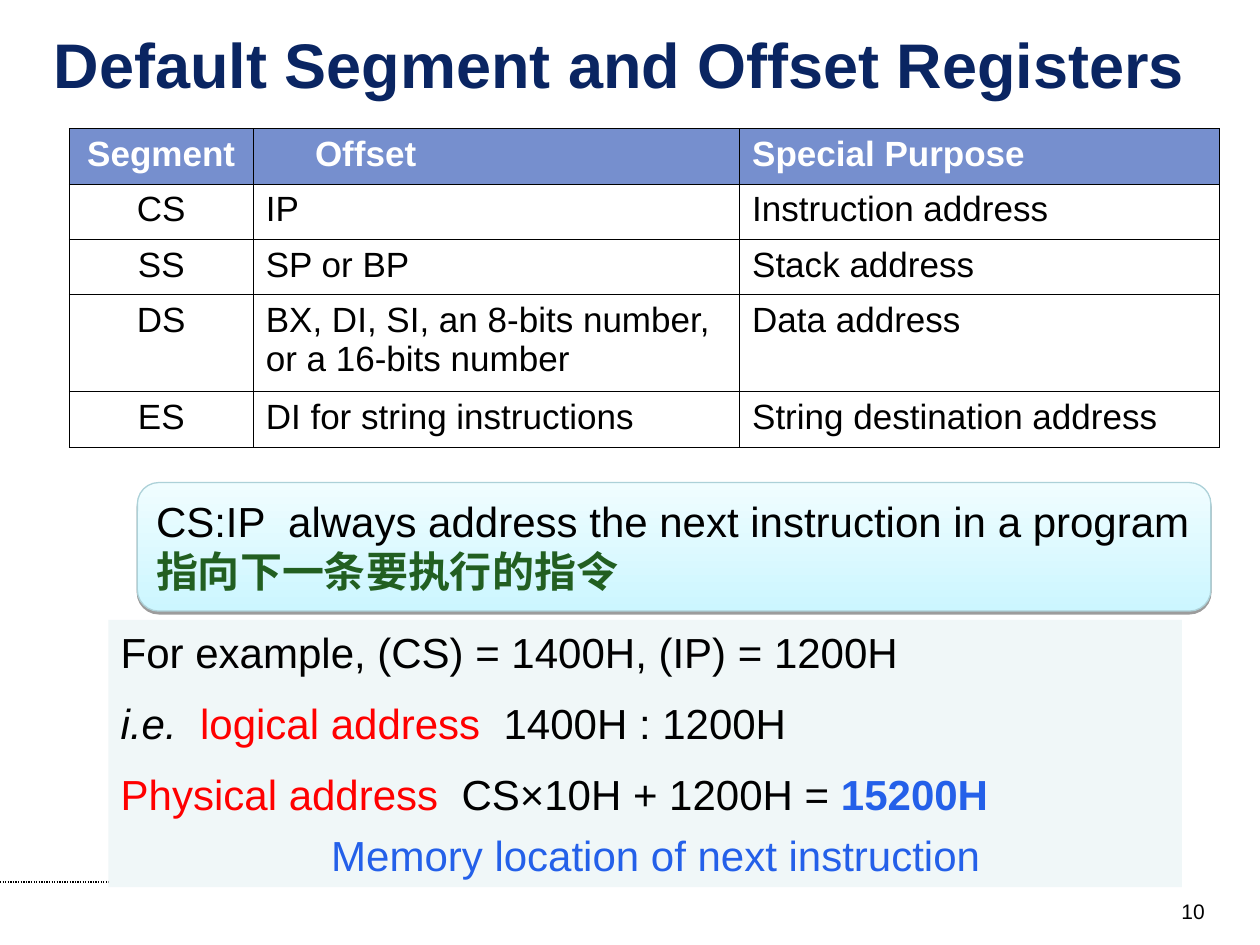
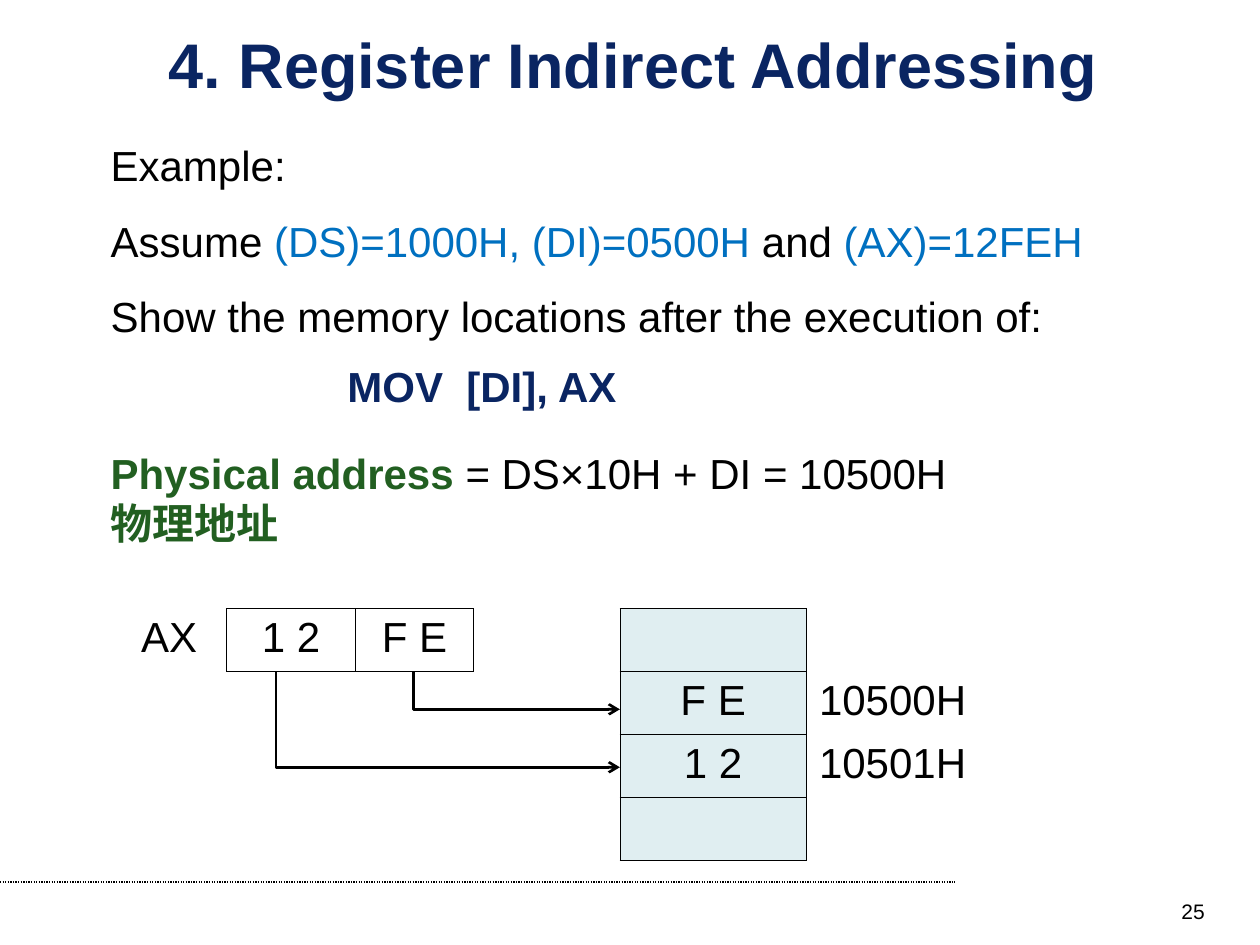
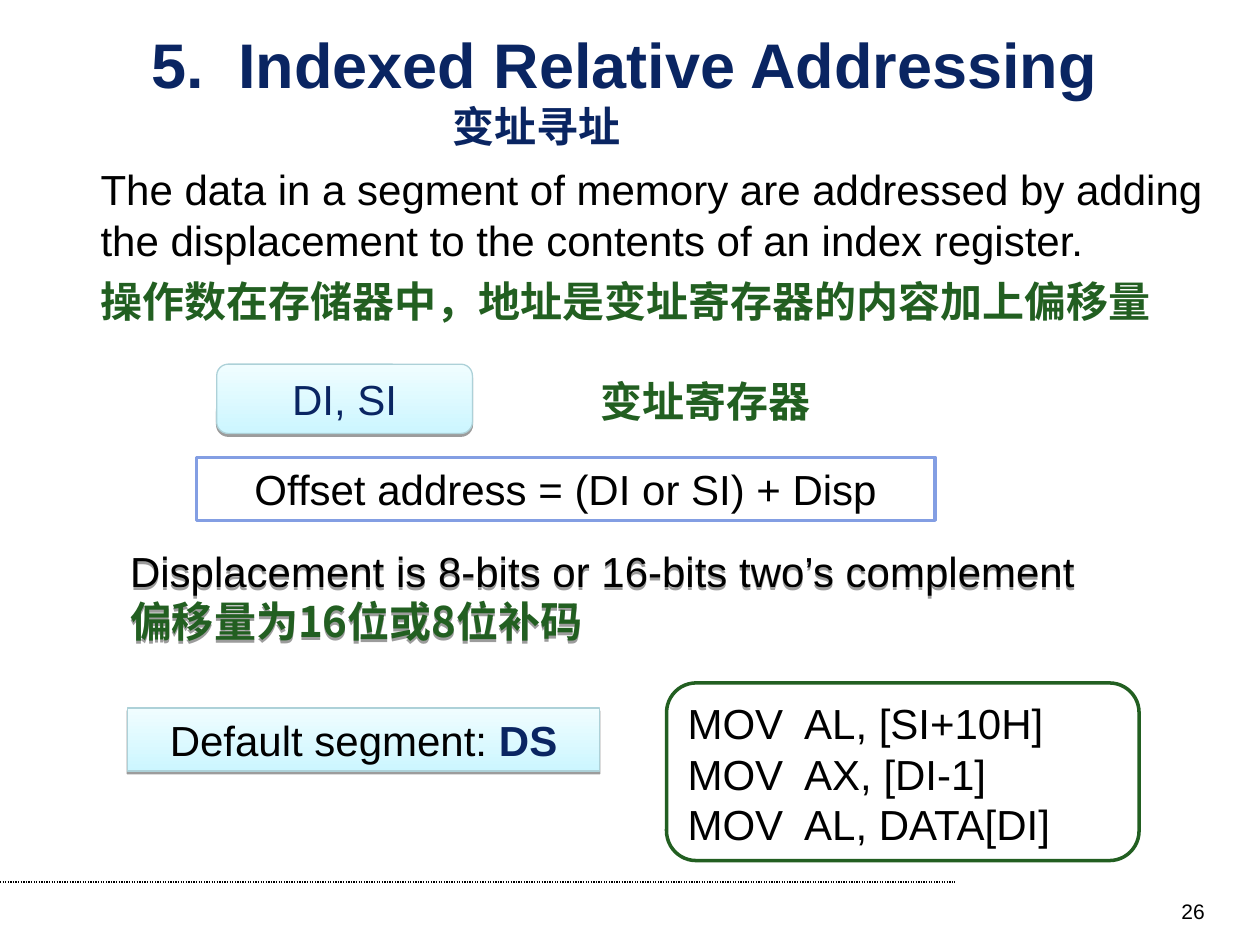
from lxml.etree import SubElement
from pptx import Presentation
from pptx.dml.color import RGBColor
from pptx.enum.dml import MSO_LINE
from pptx.enum.shapes import MSO_CONNECTOR, MSO_SHAPE
from pptx.enum.text import MSO_ANCHOR, MSO_AUTO_SIZE, PP_ALIGN
from pptx.oxml.ns import qn
from pptx.util import Inches, Pt

LATIN, CJK = "Arial", "Noto Sans CJK SC"
NAVY, GREEN, BLACK, WHITE = "0A2562", "225F21", "000000", "FFFFFF"
RED, BLUE, SKY = "FF0000", "2460E9", "0070C0"
HEADER, PALE, MEMORY, FRAME = "768FCE", "F0F7F8", "E0EEF1", "839EE3"
AQUA_DARK, AQUA_LIGHT, AQUA_EDGE = "CCF6FF", "F0FDFF", "ADD1D8"
CENTER, RIGHT = PP_ALIGN.CENTER, PP_ALIGN.RIGHT
CHINESE = {"color": GREEN, "bold": True}


def rgb(color):
    return RGBColor.from_string(color)


def write(tf, *runs, align=PP_ALIGN.LEFT, before=0, spacing=None, indent=0, **fmt):
    """Add one paragraph; a run is a string or a (string, format) pair."""
    p = tf.paragraphs[0] if not tf.text else tf.add_paragraph()
    p.alignment = align
    p.space_before = Pt(before)
    if spacing:
        p.line_spacing = spacing
    if indent:
        p._p.get_or_add_pPr().set("marL", str(Inches(indent)))
    for run in runs:
        text, own = (run, {}) if isinstance(run, str) else run
        add_run(p, text, **{**fmt, **own})


def add_run(p, text, size=24, color=BLACK, bold=False, italic=False, font=LATIN):
    r = p.add_run()
    r.text = text
    r.font.size = Pt(size)
    r.font.bold = bold
    r.font.italic = italic
    r.font.name = font
    r.font.color.rgb = rgb(color)
    SubElement(r._r.get_or_add_rPr(), qn("a:ea"), typeface=CJK)


def add_box(s, x, y, w, h):
    tf = s.shapes.add_textbox(Inches(x), Inches(y), Inches(w), Inches(h)).text_frame
    tf.word_wrap = True
    return tf


def add_panel(s, x, y, w, h, rounded=False, fill=None, line=None, width=0.75, wrap=True):
    kind = MSO_SHAPE.ROUNDED_RECTANGLE if rounded else MSO_SHAPE.RECTANGLE
    sp = s.shapes.add_shape(kind, Inches(x), Inches(y), Inches(w), Inches(h))
    sp.shadow.inherit = False
    if fill:
        sp.fill.solid()
        sp.fill.fore_color.rgb = rgb(fill)
    else:
        sp.fill.background()
    if line:
        sp.line.color.rgb = rgb(line)
        sp.line.width = Pt(width)
    else:
        sp.line.fill.background()
    sp.text_frame.word_wrap = wrap
    sp.text_frame.vertical_anchor = MSO_ANCHOR.TOP
    return sp


def add_shadow(sp):
    effects = sp._element.spPr.find(qn("a:effectLst"))
    shadow = SubElement(effects, qn("a:outerShdw"), blurRad="0", dist=str(Pt(1.6)),
                        dir="5400000", rotWithShape="0")
    color = SubElement(shadow, qn("a:srgbClr"), val=BLACK)
    SubElement(color, qn("a:alpha"), val="38000")


def add_aqua_panel(s, x, y, w, h, **kwargs):
    sp = add_panel(s, x, y, w, h, line=AQUA_EDGE, **kwargs)
    sp.fill.gradient()
    sp.fill.gradient_angle = 90
    for stop, color in zip(sp.fill.gradient_stops, (AQUA_DARK, AQUA_LIGHT)):
        stop.color.rgb = rgb(color)
    add_shadow(sp)
    return sp.text_frame


def add_line(s, kind, x1, y1, x2, y2, width):
    line = s.shapes.add_connector(kind, Inches(x1), Inches(y1), Inches(x2), Inches(y2))
    line.line.color.rgb = rgb(BLACK)
    line.line.width = Pt(width)
    SubElement(line._element.spPr, qn("a:effectLst"))
    return line


def add_byte_arrow(s, x1, y1, x2, y2):
    """Draw an arrow that goes straight down, then right."""
    arrow = add_line(s, MSO_CONNECTOR.ELBOW, x1, y1, x2, y2, 1.5)
    geometry = arrow._element.spPr.find(qn("a:prstGeom"))
    guides = geometry.find(qn("a:avLst"))
    if guides is None:
        guides = SubElement(geometry, qn("a:avLst"))
    SubElement(guides, qn("a:gd"), name="adj1", fmla="val 0")
    SubElement(arrow.line._get_or_add_ln(), qn("a:tailEnd"), type="arrow")


def add_grid(s, x, y, cols, rows):
    frame = s.shapes.add_table(len(rows), len(cols), Inches(x), Inches(y),
                               Inches(sum(cols)), Inches(sum(rows)))
    table = frame.table
    table.first_row = table.horz_banding = False
    for col, w in zip(table.columns, cols):
        col.width = Inches(w)
    for row, h in zip(table.rows, rows):
        row.height = Inches(h)
    return table


def fill_cell(cell, text="", fill=None, sides="LRTB", **fmt):
    """Set the text, the fill and the bordered sides of a cell."""
    tcPr = cell._tc.get_or_add_tcPr()
    for side in "LRTB":
        ln = SubElement(tcPr, qn(f"a:ln{side}"), w=str(Pt(0.45)))
        if side in sides:
            SubElement(SubElement(ln, qn("a:solidFill")), qn("a:srgbClr"), val=BLACK)
        else:
            SubElement(ln, qn("a:noFill"))
    if fill:
        cell.fill.solid()
        cell.fill.fore_color.rgb = rgb(fill)
    else:
        cell.fill.background()
    if text:
        write(cell.text_frame, text, **fmt)


def new_slide(prs, title, number, x=0.5, w=9.05):
    s = prs.slides.add_slide(prs.slide_layouts[5])
    sp = s.shapes.title
    sp.left, sp.top, sp.width, sp.height = Inches(x), Inches(0.25), Inches(w), Inches(0.5)
    tf = sp.text_frame
    tf.auto_size = MSO_AUTO_SIZE.NONE
    tf.vertical_anchor = MSO_ANCHOR.MIDDLE
    tf.margin_left = tf.margin_right = tf.margin_top = tf.margin_bottom = 0
    write(tf, title, align=CENTER, size=36, color=NAVY, bold=True)
    rule = add_line(s, MSO_CONNECTOR.STRAIGHT, 0, 7, 7.58, 7, 0.75)
    rule.line.dash_style = MSO_LINE.ROUND_DOT
    write(add_box(s, 7.33, 7.08, 2.33, 0.27), str(number), align=RIGHT, size=12)
    return s


def build_default_registers(prs):
    s = new_slide(prs, "Default Segment and Offset Registers", 10, x=0.14, w=9.55)
    registers = [
        ("Segment", "Offset", "Special Purpose"),
        ("CS", "IP", "Instruction address"),
        ("SS", "SP or BP", "Stack address"),
        ("DS", "BX, DI, SI, an 8-bits number, or a 16-bits number", "Data address"),
        ("ES", "DI for string instructions", "String destination address"),
    ]
    table = add_grid(s, 0.55, 1.02, [1.46, 3.86, 3.81], [0.44, 0.44, 0.44, 0.77, 0.44])
    for i, row in enumerate(registers):
        head = i == 0
        for j, text in enumerate(row):
            fill_cell(table.cell(i, j), text, fill=HEADER if head else None, size=20,
                      color=WHITE if head else BLACK, bold=head,
                      align=CENTER if j == 0 else PP_ALIGN.LEFT,
                      indent=0.39 if head and j == 1 else 0)

    tf = add_aqua_panel(s, 1.09, 3.83, 8.52, 1.02, rounded=True, wrap=False)
    write(tf, "CS:IP  always address the next instruction in a program")
    write(tf, "指向下一条要执行的指令", font=CJK, **CHINESE)

    tf = add_panel(s, 0.86, 4.92, 8.52, 2.12, fill=PALE).text_frame
    write(tf, "For example, (CS) = 1400H, (IP) = 1200H")
    write(tf, ("i.e.  ", {"italic": True}), ("logical address  ", {"color": RED}),
          "1400H : 1200H", before=12)
    write(tf, ("Physical address  ", {"color": RED}), "CS×10H + 1200H = ",
          ("15200H", {"color": BLUE, "bold": True}), before=12)
    write(tf, "Memory location of next instruction", color=BLUE, before=6, indent=1.67)


def build_register_indirect(prs):
    s = new_slide(prs, "4. Register Indirect Addressing", 25)
    tf = add_box(s, 0.78, 0.86, 8.69, 1.9)
    write(tf, "Example:", spacing=1.5)
    write(tf, "Assume ", ("(DS)=1000H, (DI)=0500H ", {"color": SKY}), "and",
          (" (AX)=12FEH", {"color": SKY}), spacing=1.5)
    write(tf, "Show the memory locations after the execution of:", spacing=1.5)
    write(add_box(s, 2.66, 2.81, 2.66, 0.5), "MOV  [DI], AX", color=NAVY, bold=True)
    tf = add_box(s, 0.78, 3.5, 7.97, 0.9)
    write(tf, ("Physical address ", CHINESE), "= DS×10H + DI = 10500H")
    write(tf, "物理地址", **CHINESE)

    ax = add_grid(s, 1.02, 4.83, [0.78, 1.02, 0.94], [0.5])
    fill_cell(ax.cell(0, 0), "AX", sides="R")
    fill_cell(ax.cell(0, 1), "1 2", align=CENTER)
    fill_cell(ax.cell(0, 2), "F E", align=CENTER)

    memory = [("", ""), ("F E", "10500H"), ("1 2", "10501H"), ("", "")]
    table = add_grid(s, 4.92, 4.83, [1.48, 1.48], [0.5] * len(memory))
    for i, (value, address) in enumerate(memory):
        fill_cell(table.cell(i, 0), value, fill=MEMORY, align=CENTER)
        fill_cell(table.cell(i, 1), address, sides="L")
    add_byte_arrow(s, 3.28, 5.33, 4.92, 5.63)
    add_byte_arrow(s, 2.19, 5.33, 4.92, 6.09)


def build_indexed_relative(prs):
    s = new_slide(prs, "5.  Indexed Relative Addressing ", 26)
    write(add_box(s, 3.49, 0.75, 2.42, 0.5), "变址寻址", color=NAVY, bold=True)
    tf = add_box(s, 0.7, 1.25, 8.96, 1.39)
    write(tf, "The data in a segment of memory are addressed by adding "
              "the displacement to the contents of an index register.")
    write(tf, "操作数在存储器中，地址是变址寄存器的内容加上偏移量", before=6, **CHINESE)

    tf = add_aqua_panel(s, 1.72, 2.89, 2.03, 0.55, rounded=True, wrap=False)
    write(tf, "DI, SI", align=CENTER, color=NAVY)
    tf = add_aqua_panel(s, 1.01, 5.62, 3.75, 0.5)
    write(tf, "Default segment: ", ("DS", {"color": NAVY, "bold": True}), align=CENTER)
    sp = add_panel(s, 1.56, 3.63, 5.86, 0.5, fill=WHITE, line=FRAME, width=2)
    write(sp.text_frame, "Offset address = (DI or SI) + Disp", align=CENTER)
    write(add_box(s, 4.67, 2.93, 2.5, 0.5), "变址寄存器", **CHINESE)

    sp = add_panel(s, 0.9, 4.38, 8.14, 0.7, rounded=True, wrap=False)
    add_shadow(sp)
    tf = sp.text_frame
    tf.vertical_anchor = MSO_ANCHOR.MIDDLE
    write(tf, "Displacement is 8-bits or 16-bits two’s complement")
    write(tf, "偏移量为16位或8位补码", font=CJK, **CHINESE)

    sp = add_panel(s, 5.29, 5.42, 3.75, 1.41, rounded=True, fill=WHITE, line=GREEN,
                   width=2, wrap=False)
    for code in ("MOV  AL, [SI+10H]", "MOV  AX, [DI-1]", "MOV  AL, DATA[DI]"):
        write(sp.text_frame, code)


def main():
    prs = Presentation()
    prs.slide_width, prs.slide_height = Inches(10), Inches(7.5)
    build_default_registers(prs)
    build_register_indirect(prs)
    build_indexed_relative(prs)
    prs.save("out.pptx")


if __name__ == "__main__":
    main()
